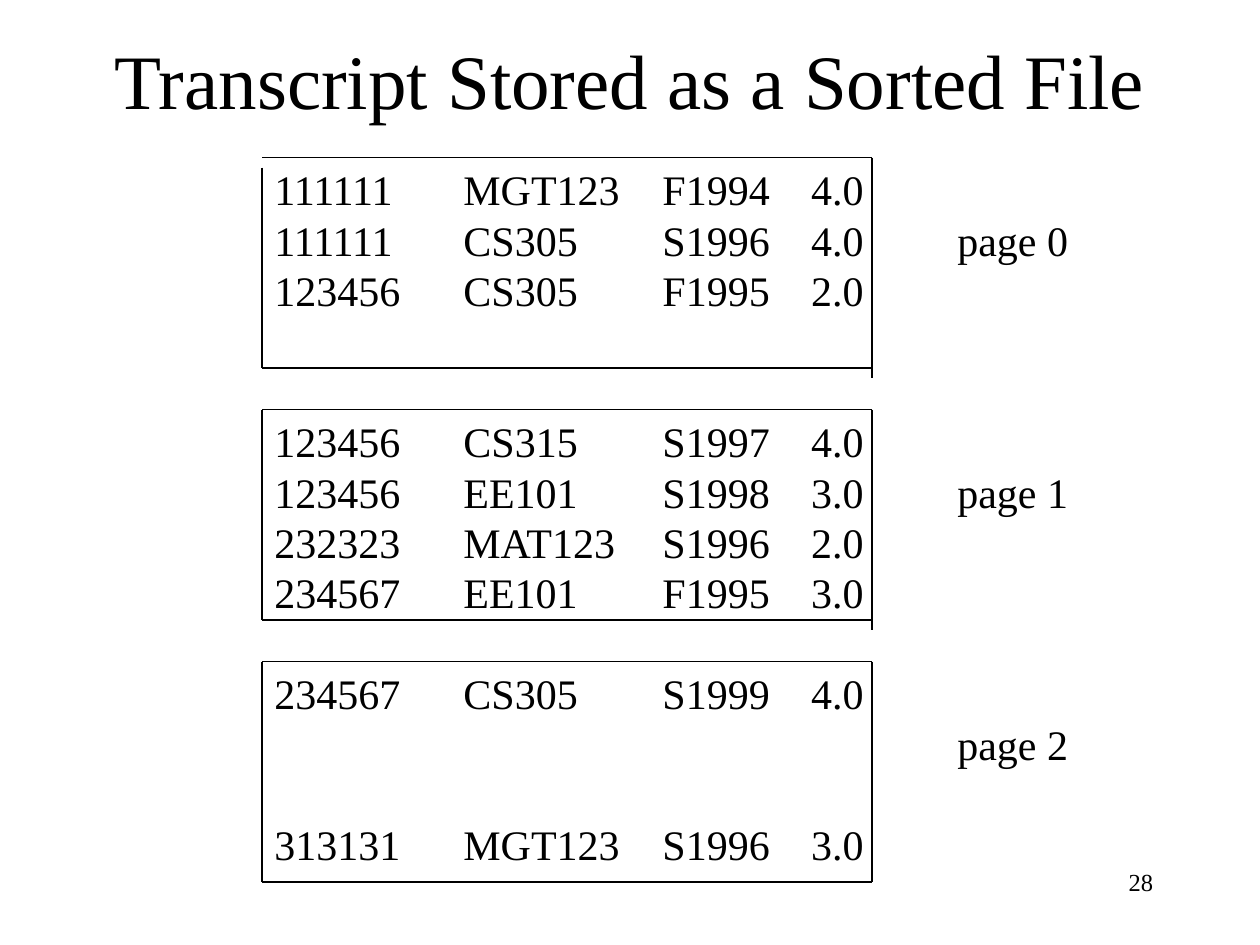
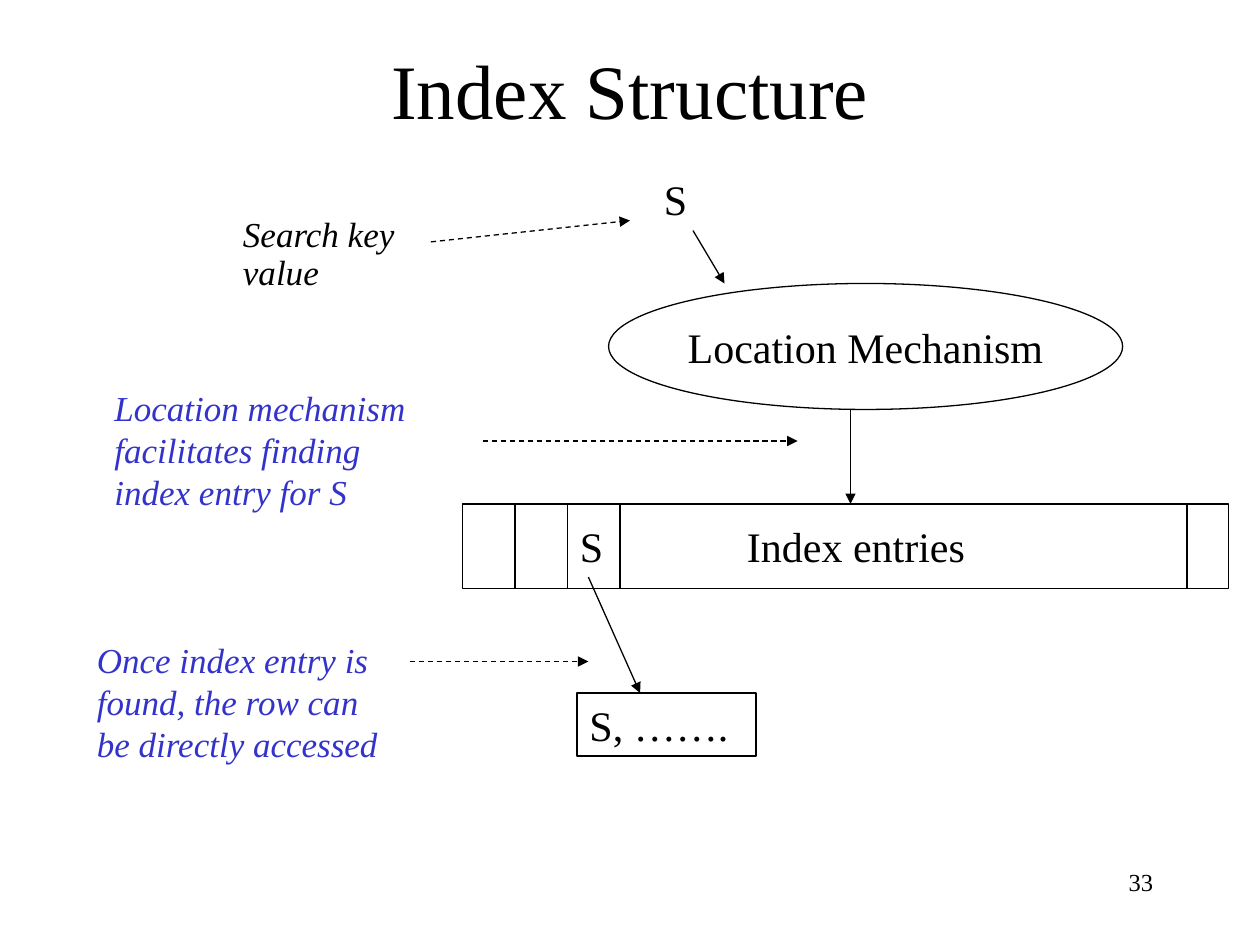
from lxml import etree
from pptx import Presentation
from pptx.dml.color import RGBColor
from pptx.enum.dml import MSO_LINE
from pptx.enum.shapes import MSO_CONNECTOR, MSO_SHAPE
from pptx.enum.text import MSO_ANCHOR, MSO_AUTO_SIZE, PP_ALIGN
from pptx.oxml.ns import qn
from pptx.util import Inches, Pt

STRAIGHT, DASH = MSO_CONNECTOR.STRAIGHT, MSO_LINE.DASH
RECTANGLE, OVAL = MSO_SHAPE.RECTANGLE, MSO_SHAPE.OVAL
LEFT, CENTER, RIGHT = PP_ALIGN.LEFT, PP_ALIGN.CENTER, PP_ALIGN.RIGHT
TOP, MIDDLE = MSO_ANCHOR.TOP, MSO_ANCHOR.MIDDLE
NO_AUTOFIT = MSO_AUTO_SIZE.NONE

# Shared style
FONT = "Times New Roman"
BLACK, WHITE, BLUE = "000000", "FFFFFF", "3333CC"
LINE_WIDTH = 0.75
LEADING = 1.2
TEXT_SIZE, NOTE_SIZE, TITLE_SIZE, NUMBER_SIZE = 24, 20, 44, 14
TITLE_ONLY = 5

# Sorted file: (row slot, student, course, semester, grade) on each page
PAGES = [
    [(0, "111111", "MGT123", "F1994", "4.0"),
     (1, "111111", "CS305", "S1996", "4.0"),
     (2, "123456", "CS305", "F1995", "2.0")],
    [(0, "123456", "CS315", "S1997", "4.0"),
     (1, "123456", "EE101", "S1998", "3.0"),
     (2, "232323", "MAT123", "S1996", "2.0"),
     (3, "234567", "EE101", "F1995", "3.0")],
    [(0, "234567", "CS305", "S1999", "4.0"),
     (3, "313131", "MGT123", "S1996", "3.0")],
]
PAGE_PITCH, PAGE_WIDTH, PAGE_HEIGHT = 2, 4.84, 1.75
FLOOR_DEPTHS = [1.67, 1.67, 1.75]
LEFT_STARTS = [0.08, 0, 0]
COLUMN_TABS = [1.5, 3.08, 4.26]


def rgb(color):
    return RGBColor.from_string(color)


def style(paragraph, size, color=BLACK, italic=False, align=LEFT, leading=LEADING):
    paragraph.alignment = align
    if leading:
        paragraph.line_spacing = Pt(round(size * leading, 1))
    font = paragraph.font
    font.name, font.size, font.italic = FONT, Pt(size), italic
    font.color.rgb = rgb(color)


def write(frame, lines, size=TEXT_SIZE, anchor=TOP, wrap=False, **look):
    frame.word_wrap, frame.vertical_anchor = wrap, anchor
    frame.auto_size = NO_AUTOFIT
    frame.text = "\n".join(lines)
    for paragraph in frame.paragraphs:
        style(paragraph, size, **look)


def add_text(slide, left, top, width, height, *lines, **look):
    box = slide.shapes.add_textbox(Inches(left), Inches(top), Inches(width), Inches(height))
    write(box.text_frame, lines, **look)
    return box.text_frame


def add_outline(slide, kind, left, top, width, height, *lines, **look):
    shape = slide.shapes.add_shape(kind, Inches(left), Inches(top), Inches(width), Inches(height))
    shape.shadow.inherit = False
    shape.fill.solid()
    shape.fill.fore_color.rgb = rgb(WHITE)
    shape.line.color.rgb = rgb(BLACK)
    shape.line.width = Pt(LINE_WIDTH)
    if lines:
        write(shape.text_frame, lines, **look)


def add_line(slide, x1, y1, x2, y2, arrow=False, dashed=False):
    line = slide.shapes.add_connector(STRAIGHT, Inches(x1), Inches(y1), Inches(x2), Inches(y2))
    line.line.color.rgb = rgb(BLACK)
    line.line.width = Pt(LINE_WIDTH)
    if dashed:
        line.line.dash_style = DASH
    properties = line.element.spPr
    if arrow:
        etree.SubElement(properties.find(qn("a:ln")), qn("a:tailEnd"), type="triangle")
    etree.SubElement(properties, qn("a:effectLst"))


def add_tabs(paragraph, stops):
    """Put left tab stops, in inches, ahead of the paragraph's font."""
    properties = paragraph.font and paragraph._p.get_or_add_pPr()
    tabs = etree.Element(qn("a:tabLst"))
    for stop in stops:
        etree.SubElement(tabs, qn("a:tab"), pos=str(Inches(stop)), algn="l")
    properties.find(qn("a:defRPr")).addprevious(tabs)


def new_slide(deck, title, number, title_top, title_height):
    slide = deck.slides.add_slide(deck.slide_layouts[TITLE_ONLY])
    heading = slide.shapes.title
    heading.left, heading.top = Inches(0.75), Inches(title_top)
    heading.width, heading.height = Inches(8.5), Inches(title_height)
    write(heading.text_frame, [title], size=TITLE_SIZE, anchor=MIDDLE, wrap=True,
          align=CENTER, leading=None)
    add_text(slide, 7.17, 6.83, 2.08, 0.5, number, size=NUMBER_SIZE, wrap=True, align=RIGHT)
    return slide


def file_page(slide, left, top, number, rows):
    """One page of the file: its rows, its label and its four edges."""
    frame = add_text(slide, left, top, PAGE_WIDTH, PAGE_HEIGHT,
                     *("\t".join(fields) for _, *fields in rows))
    next_slot = 0
    for paragraph, (slot, *_) in zip(frame.paragraphs, rows):
        paragraph.space_before = Pt(round((slot - next_slot) * TEXT_SIZE * LEADING, 1))
        add_tabs(paragraph, COLUMN_TABS)
        next_slot = slot + 1
    add_text(slide, left + 5.42, top + 0.4, 1.2, 0.5, f"page {number}")

    right, floor = left + PAGE_WIDTH, top + FLOOR_DEPTHS[number]
    add_line(slide, left, top, right, top)
    add_line(slide, right, top, right, top + PAGE_HEIGHT)
    add_line(slide, left, floor, right, floor)
    add_line(slide, left, top + LEFT_STARTS[number], left, floor)


def search_key(slide, left, top):
    add_text(slide, left, top + 0.34, 1.41, 0.7, "Search key", "value",
             size=NOTE_SIZE, italic=True, leading=1.08)
    add_text(slide, left + 3.34, top, 0.39, 0.5, "S")
    add_line(slide, left + 1.59, top + 0.59, left + 3.17, top + 0.42, arrow=True, dashed=True)
    add_line(slide, left + 3.67, top + 0.5, left + 3.92, top + 0.92, arrow=True)


def location_mechanism(slide, left, top):
    add_outline(slide, OVAL, left, top, 4.08, 1, "Location Mechanism",
                anchor=MIDDLE, align=CENTER)
    add_line(slide, left + 1.92, top + 1, left + 1.92, top + 1.75, arrow=True)


def index_entries(slide, left, top, width, height):
    add_outline(slide, RECTANGLE, left, top, width, height)
    cell = 1.25 / 3
    for divider in (cell, 2 * cell, 3 * cell, 5.75):
        add_line(slide, left + divider, top, left + divider, top + height)
    add_text(slide, left + 2 * cell, top + 0.08, 0.38, 0.5, "S")
    add_text(slide, left + 2.16, top + 0.08, 1.93, 0.5, "Index entries")
    add_line(slide, left + 1, top + 0.58, left + 1.41, top + 1.5, arrow=True)


def explanation(slide, left, top, width, arrow_start, arrow_end, arrow_drop, *lines):
    add_text(slide, left, top, width, 1.1, *lines, size=NOTE_SIZE, color=BLUE,
             italic=True, wrap=True)
    add_line(slide, arrow_start, top + arrow_drop, arrow_end, top + arrow_drop,
             arrow=True, dashed=True)


def sorted_file_slide(deck):
    slide = new_slide(deck, "Transcript Stored as a Sorted File", "28", 0, 1.25)
    for number, rows in enumerate(PAGES):
        file_page(slide, 2.08, 1.25 + number * PAGE_PITCH, number, rows)


def index_structure_slide(deck):
    slide = new_slide(deck, "Index Structure", "33", 0.33, 0.75)
    search_key(slide, 1.83, 1.33)
    location_mechanism(slide, 4.83, 2.25)
    index_entries(slide, 3.67, 4, 6.08, 0.67)
    add_outline(slide, RECTANGLE, 4.58, 5.5, 1.42, 0.5, "S, …….")
    explanation(slide, 0.81, 3.02, 2.6, 3.83, 6.33, 0.48,
                "Location mechanism", "facilitates finding", "index entry for S")
    explanation(slide, 0.67, 5.02, 2.58, 3.25, 4.67, 0.23,
                "Once index entry is found, the row can be directly accessed")


def main():
    deck = Presentation()
    deck.slide_width, deck.slide_height = Inches(10), Inches(7.5)
    sorted_file_slide(deck)
    index_structure_slide(deck)
    deck.save("out.pptx")


if __name__ == "__main__":
    main()
